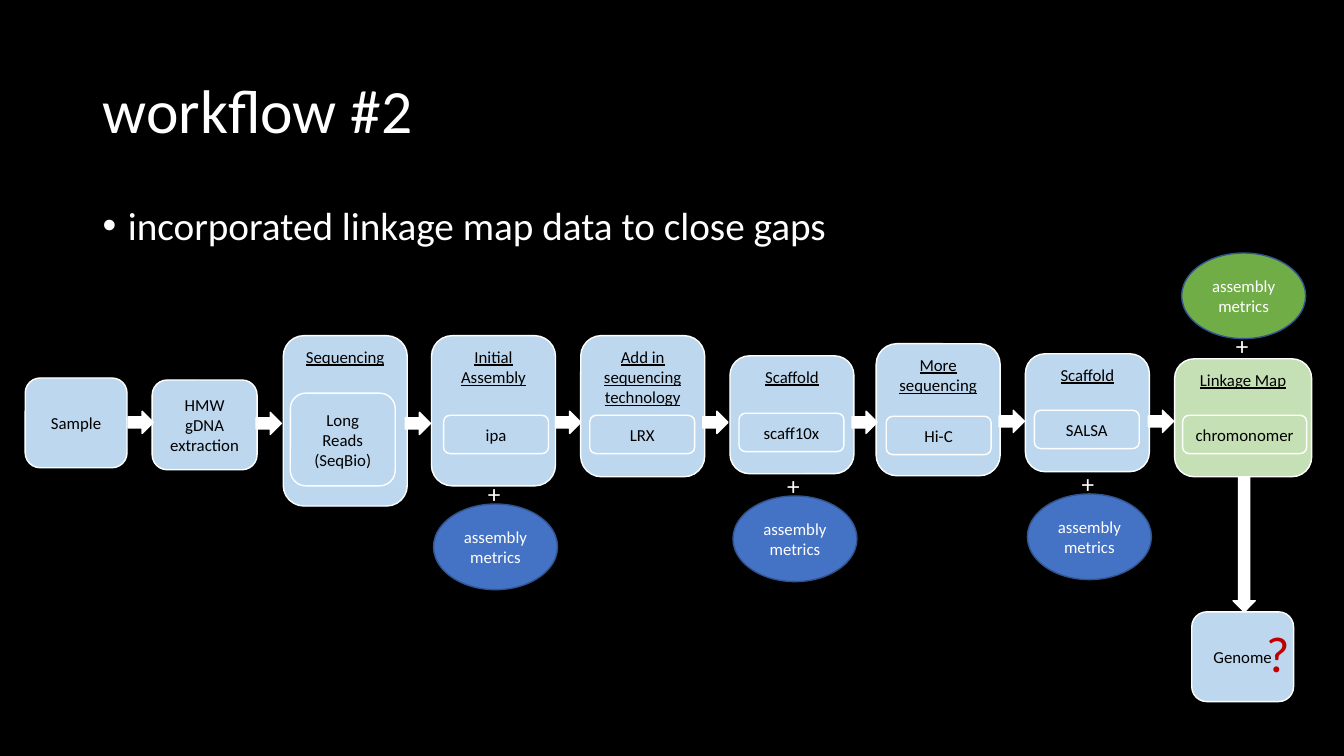
from lxml.etree import SubElement
from pptx import Presentation
from pptx.dml.color import RGBColor
from pptx.enum.shapes import MSO_SHAPE
from pptx.enum.text import MSO_ANCHOR, MSO_AUTO_SIZE, PP_ALIGN
from pptx.oxml.ns import qn
from pptx.util import Emu, Pt

PX = 9144  # 100 px to the inch
COLORS = {
    "background": "000000", "white": "FFFFFF", "black": "000000",
    "step": "BDD7EE", "linkage": "C5E0B4", "metrics": "4472C4",
    "final metrics": "70AD47", "metrics edge": "325491", "question": "C00000",
}

presentation = Presentation()
presentation.slide_width, presentation.slide_height = Emu(1333 * PX), Emu(750 * PX)
slide = presentation.slides.add_slide(presentation.slide_layouts[6])
slide.background.fill.solid()
slide.background.fill.fore_color.rgb = RGBColor.from_string(COLORS["background"])


def add_block(kind, box, fill, edge="white"):
    """Add a filled, outlined preset shape; box is left, top, width, height."""
    block = slide.shapes.add_shape(kind, *(Emu(length * PX) for length in box))
    block.shadow.inherit = False
    block.fill.solid()
    block.fill.fore_color.rgb = RGBColor.from_string(COLORS[fill])
    block.line.color.rgb = RGBColor.from_string(COLORS[edge])
    block.line.width = Pt(1)
    return block


def write(text, block=None, box=None, size=12, color="black", align=PP_ALIGN.CENTER,
          anchor=MSO_ANCHOR.MIDDLE, underline=None, wrap=True, spacing=None, bullet=False):
    """Write into block, or into a new text box; each line is a paragraph."""
    if block is None:
        block = slide.shapes.add_textbox(*(Emu(length * PX) for length in box))
    frame = block.text_frame
    frame.word_wrap = wrap
    frame.auto_size = MSO_AUTO_SIZE.NONE if wrap else MSO_AUTO_SIZE.SHAPE_TO_FIT_TEXT
    frame.vertical_anchor = anchor
    frame.text = text
    for paragraph in frame.paragraphs:
        paragraph.alignment = align
        if spacing:
            paragraph.line_spacing = spacing
        if bullet:
            properties = paragraph._p.get_or_add_pPr()
            properties.set("marL", str(25 * PX))
            properties.set("indent", str(-25 * PX))
            SubElement(properties, qn("a:buFont"), typeface="Arial")
            SubElement(properties, qn("a:buChar"), char="•")
        font = paragraph.font
        font.name, font.size, font.underline = "Calibri", Pt(size), underline
        font.color.rgb = RGBColor.from_string(COLORS[color])


write("workflow #2", box=(92, 40, 1150, 145), size=44, color="white",
      align=PP_ALIGN.LEFT, spacing=0.9)
write("incorporated linkage map data to close gaps", box=(92, 200, 1150, 476), size=28,
      color="white", align=PP_ALIGN.LEFT, anchor=MSO_ANCHOR.TOP, spacing=0.9, bullet=True)

# Plain steps: label, box
for label, box in [
    ("Sample", (25, 375, 101, 89)),
    ("HMW gDNA extraction", (151, 377, 104, 89)),
    ("Genome", (1182, 607, 101, 89)),
]:
    write(label, add_block(MSO_SHAPE.ROUNDED_RECTANGLE, box, "step"))

# Steps with a tool inside: heading, box, tool, tool box, fill
for heading, box, tool, tool_box, fill in [
    ("Sequencing", (281, 333, 123, 169), "Long Reads\n(SeqBio)", (288, 390, 104, 92), "step"),
    ("Initial Assembly", (428, 333, 123, 149), "ipa", (440, 412, 104, 38), "step"),
    ("Add in sequencing technology", (576, 333, 123, 140), "LRX", (585, 412, 104, 38), "step"),
    ("Scaffold", (724, 353, 123, 117), "scaff10x", (733, 410, 104, 38), "step"),
    ("More sequencing", (869, 341, 123, 131), "Hi-C", (879, 413, 104, 38), "step"),
    ("Scaffold", (1017, 351, 123, 117), "SALSA", (1026, 407, 104, 38), "step"),
    ("Linkage Map", (1165, 356, 136, 117), "chromonomer", (1173, 412, 123, 38), "linkage"),
]:
    write(heading, add_block(MSO_SHAPE.ROUNDED_RECTANGLE, box, fill),
          anchor=MSO_ANCHOR.TOP, underline=True)
    write(tool, add_block(MSO_SHAPE.ROUNDED_RECTANGLE, tool_box, fill))

# Arrows between steps
for left, top in [(127, 408), (254, 409), (402, 409), (551, 408),
                  (697, 408), (845, 408), (991, 407), (1139, 407)]:
    add_block(MSO_SHAPE.RIGHT_ARROW, (left, top, 25, 22), "white")
genome_arrow = add_block(MSO_SHAPE.RIGHT_ARROW, (1167, 529, 134, 22), "white")
genome_arrow.rotation = 90

# Metrics: left, top, top of the plus sign, fill
for left, top, plus_top, fill in [
    (430, 500, 470, "metrics"),
    (727, 492, 462, "metrics"),
    (1019, 490, 460, "metrics"),
    (1172, 251, 323, "final metrics"),
]:
    oval = add_block(MSO_SHAPE.OVAL, (left, top, 123, 85), fill, edge="metrics edge")
    write("assembly metrics", oval, color="white")
    write("+", box=(left + 44, plus_top, 33, 40), size=18, color="white",
          align=PP_ALIGN.LEFT, anchor=MSO_ANCHOR.TOP, wrap=False)

write("?", box=(1246, 612, 44, 71), size=36, color="question",
      align=PP_ALIGN.LEFT, anchor=MSO_ANCHOR.TOP, wrap=False)

presentation.save("out.pptx")
